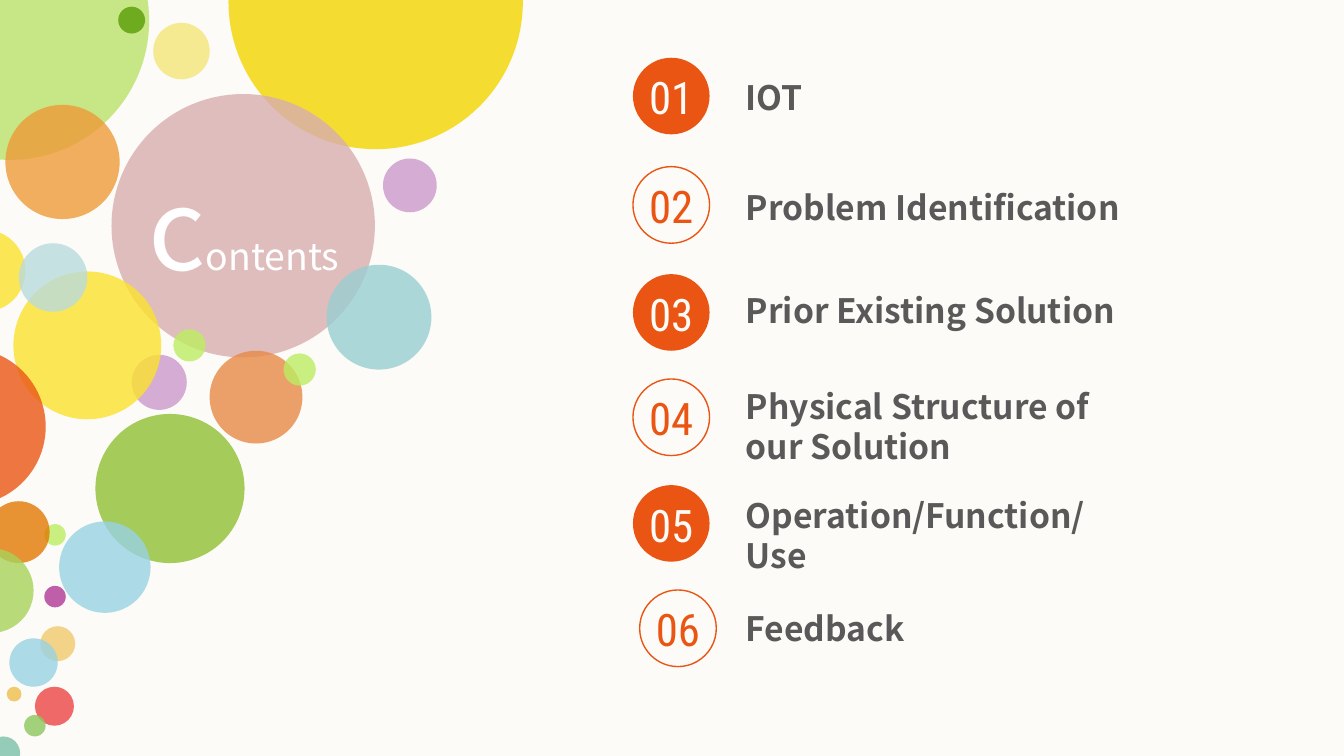
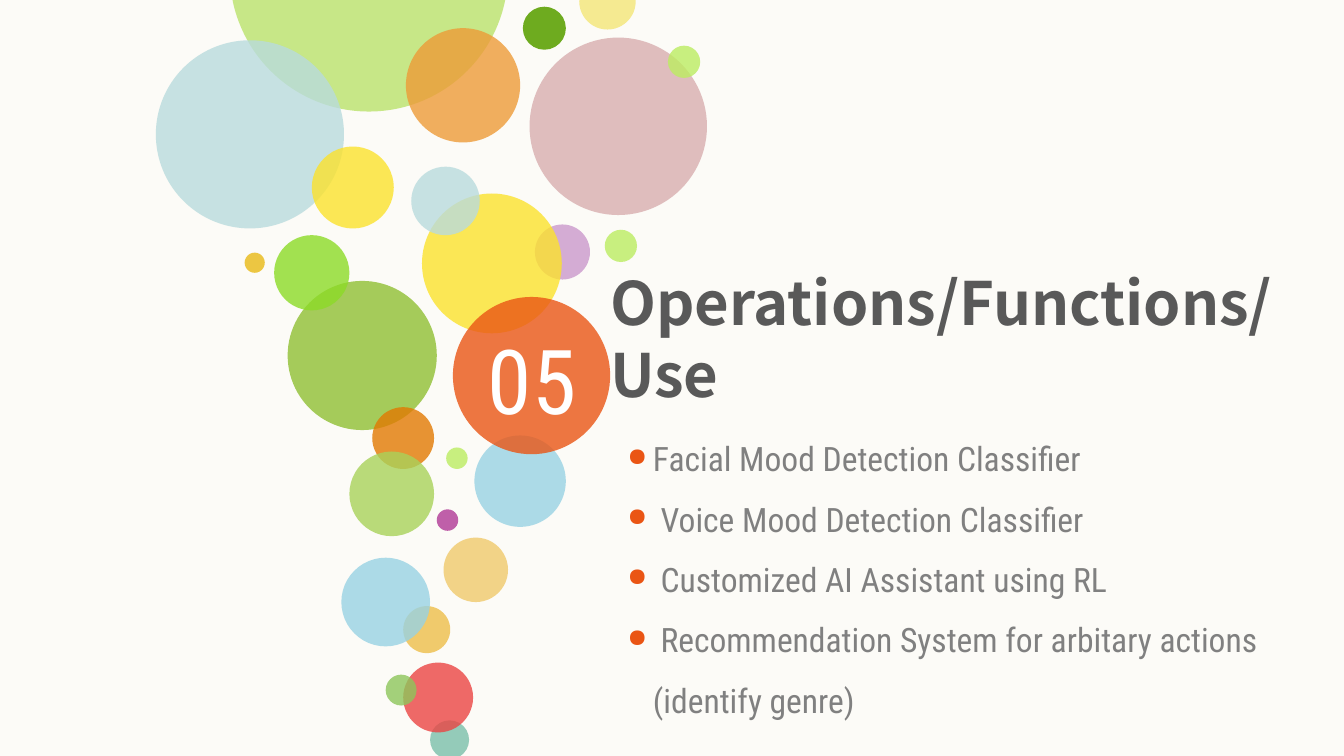
import pptx
import pptx.dml.color
import pptx.enum.shapes
import pptx.enum.text
import pptx.oxml.ns
import pptx.util
from lxml import etree

PX = 9144
WIDTH = 1000
SANS, CONDENSED = "Noto Sans CJK SC", "Roboto Condensed"
PAPER, ACCENT, WHITE = "FCFBF7", "EA5514", "FFFFFF"
TITLE_GREY, BODY_GREY = "595959", "808080"
DISC = 57

PALETTE = {
    "light green": ("BAE36B", 80),
    "dark green": ("6EAB1F", 100),
    "orange": ("ED9B38", 80),
    "cream": ("F5EA91", 100),
    "strong yellow": ("F4D500", 80),
    "rose": ("D8AEAF", 80),
    "teal": ("99CED2", 80),
    "lilac": ("CB99CC", 80),
    "copper": ("E78A47", 80),
    "leaf": ("A5CB5A", 100),
    "lime": ("BCED61", 80),
    "yellow": ("FBE22D", 80),
    "purple": ("B03896", 80),
    "pale gold": ("F0CA6C", 80),
    "gold": ("F0CA6C", 100),
    "mustard": ("E9B915", 80),
    "bright green": ("8CDB27", 80),
    "sea": ("7BBFAA", 80),
    "red": ("EB4544", 80),
    "grass": ("8DC65B", 80),
    "sky": ("98D2E3", 80),
    "mist": ("B9DBDD", 80),
    "amber": ("E27902", 80),
    "meadow": ("A9D25A", 80),
    "accent": (ACCENT, 80),
}

CONTENTS_BUBBLES = [
    ("light green", -96, -88, 207),
    ("dark green", 88, 5, 20),
    ("orange", 4, 78, 85),
    ("cream", 114, 17, 42),
    ("strong yellow", 170, -108, 219),
    ("rose", 83, 70, 196),
    ("teal", 243, 197, 78),
    ("lilac", 285, 118, 40),
    ("copper", 156, 261, 69),
    ("leaf", 71, 308, 111),
    ("lime", 211, 263, 24),
    ("lime", 129, 245, 24),
    ("lilac", 98, 264, 41),
    ("yellow", 10, 202, 110),
    ("yellow", -42, 171, 61),
    ("lime", 33, 390, 16),
    ("purple", 33, 436, 16),
    ("pale gold", 30, 466, 26),
    ("gold", 5, 511, 11),
    ("sea", -10, 548, 25),
    ("red", 26, 511, 29),
    ("grass", 18, 532, 16),
    ("sky", 7, 475, 36),
    ("mist", 14, 181, 51),
    ("sky", 44, 388, 68),
    ("amber", -9, 373, 46),
    ("meadow", -38, 408, 63),
    ("accent", -83, 259, 117),
]

SECTION_BUBBLES = [
    ("light green", 171, -124, 207),
    ("dark green", 389, 5, 32),
    ("mist", 116, 30, 140),
    ("orange", 302, 21, 85),
    ("cream", 431, -20, 42),
    ("rose", 394, 28, 132),
    ("leaf", 214, 209, 111),
    ("lime", 497, 34, 24),
    ("lime", 450, 171, 24),
    ("lilac", 398, 167, 41),
    ("yellow", 314, 144, 104),
    ("yellow", 232, 109, 61),
    ("bright green", 204, 175, 56),
    ("mustard", 182, 188, 15),
    ("lime", 332, 333, 16),
    ("purple", 325, 379, 16),
    ("pale gold", 330, 400, 48),
    ("gold", 300, 451, 35),
    ("sea", 320, 536, 29),
    ("red", 300, 493, 52),
    ("grass", 287, 502, 23),
    ("sky", 254, 415, 66),
    ("mist", 306, 124, 51),
    ("sky", 353, 324, 68),
    ("amber", 277, 303, 46),
    ("meadow", 260, 336, 63),
    ("accent", 337, 221, 117),
]

AGENDA = [
    ("IOT", 471, 43, 57, 335, 30),
    ("Problem Identification", 471, 124, 139, 391, 30),
    ("Prior Existing Solution", 471, 204, 216, 343, 30),
    ("Physical Structure of our Solution", 471, 282, 287, 276, 49),
    ("Operation/Function/Use", 471, 361, 368, 276, 61),
    ("Feedback", 476, 439, 452, 276, 30),
]

FEATURES = [
    "Facial Mood Detection Classifier",
    " Voice Mood Detection Classifier",
    " Customized AI Assistant using RL",
    " Recommendation System for arbitary actions (identify genre)",
]


def color(value):
    return pptx.dml.color.RGBColor.from_string(value)


def px(*lengths):
    return [length * PX for length in lengths]


def add_page(deck):
    page = deck.slides.add_slide(deck.slide_layouts[6])
    page.background.fill.solid()
    page.background.fill.fore_color.rgb = color(PAPER)
    return page


def add_circle(page, left, top, size, fill=None, opacity=100, line=None):
    oval = pptx.enum.shapes.MSO_SHAPE.OVAL
    circle = page.shapes.add_shape(oval, *px(left, top, size, size))
    circle.shadow.inherit = False
    if fill:
        circle.fill.solid()
        circle.fill.fore_color.rgb = color(fill)
        if opacity < 100:
            tint = circle.fill._xPr.find(".//" + pptx.oxml.ns.qn("a:srgbClr"))
            alpha = etree.SubElement(tint, pptx.oxml.ns.qn("a:alpha"))
            alpha.set("val", str(opacity * 1000))
    else:
        circle.fill.background()
    if line:
        circle.line.color.rgb = color(line)
        circle.line.width = pptx.util.Pt(0.75)
    else:
        circle.line.fill.background()


def add_bubbles(page, bubbles):
    for name, left, top, size in bubbles:
        add_circle(page, left, top, size, *PALETTE[name])


def style(font, name, size, ink, bold=False):
    font.name = name
    font.size = pptx.util.Pt(size)
    font.bold = bold
    font.color.rgb = color(ink)


def add_frame(page, area, inset=True):
    frame = page.shapes.add_textbox(*px(*area)).text_frame
    frame.word_wrap = True
    frame.auto_size = pptx.enum.text.MSO_AUTO_SIZE.SHAPE_TO_FIT_TEXT
    if not inset:
        frame.margin_left = frame.margin_right = 0
        frame.margin_top = frame.margin_bottom = 0
    return frame


def add_line(page, area, spans, name, ink, bold=False, centered=False):
    paragraph = add_frame(page, area, inset=False).paragraphs[0]
    if centered:
        paragraph.alignment = pptx.enum.text.PP_ALIGN.CENTER
    for text, size in spans:
        span = paragraph.add_run()
        span.text = text
        style(span.font, name, size, ink, bold)


def add_bullet(paragraph):
    properties = paragraph._p.get_or_add_pPr()
    properties.set("marL", str(19 * PX))
    properties.set("indent", str(-19 * PX))
    bullet_color = etree.SubElement(properties, pptx.oxml.ns.qn("a:buClr"))
    etree.SubElement(bullet_color, pptx.oxml.ns.qn("a:srgbClr")).set("val", ACCENT)
    etree.SubElement(properties, pptx.oxml.ns.qn("a:buSzPct")).set("val", "75000")
    etree.SubElement(properties, pptx.oxml.ns.qn("a:buChar")).set("char", "●")


def build_contents(deck):
    page = add_page(deck)
    add_bubbles(page, CONTENTS_BUBBLES)
    add_line(page, (106, 118, 151, 101), [("c", 60), ("ontents", 20)],
             SANS, WHITE, centered=True)
    for number, (label, left, top, label_top, width, height) in enumerate(AGENDA, 1):
        if number % 2:
            add_circle(page, left, top, DISC, fill=ACCENT)
            ink = PAPER
        else:
            add_circle(page, left, top, DISC, line=ACCENT)
            ink = ACCENT
        add_line(page, (left, top + 9, DISC, 40), [(f"{number:02}", 24)],
                 CONDENSED, ink, centered=True)
        add_line(page, (555, label_top, width, height), [(label, 18)],
                 SANS, TITLE_GREY, bold=True)


def build_section(deck):
    page = add_page(deck)
    add_bubbles(page, SECTION_BUBBLES)
    add_line(page, (356, 242, 80, 81), [("05", 48)], CONDENSED, WHITE, centered=True)
    add_line(page, (454, 198, 526, 108), [("Operations/Functions/Use", 32)],
             SANS, TITLE_GREY, bold=True)
    frame = add_frame(page, (457, 306, 526, 237))
    frame.text = "\n".join(FEATURES)
    for paragraph in frame.paragraphs:
        paragraph.line_spacing = 1.5
        add_bullet(paragraph)
        style(paragraph.runs[0].font, CONDENSED, 18, BODY_GREY)


def main():
    deck = pptx.Presentation()
    deck.slide_width = WIDTH * PX
    deck.slide_height = deck.slide_width * 9 // 16
    build_contents(deck)
    build_section(deck)
    deck.save("out.pptx")


if __name__ == "__main__":
    main()
